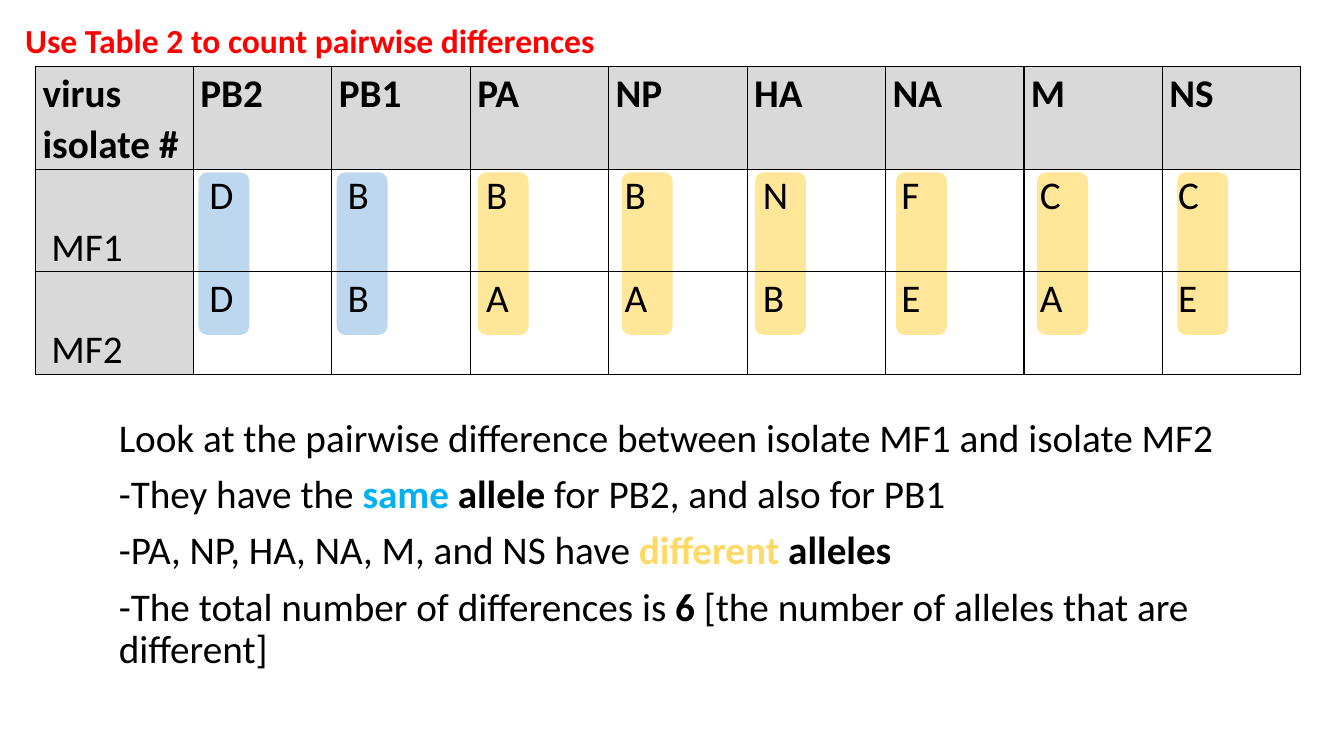
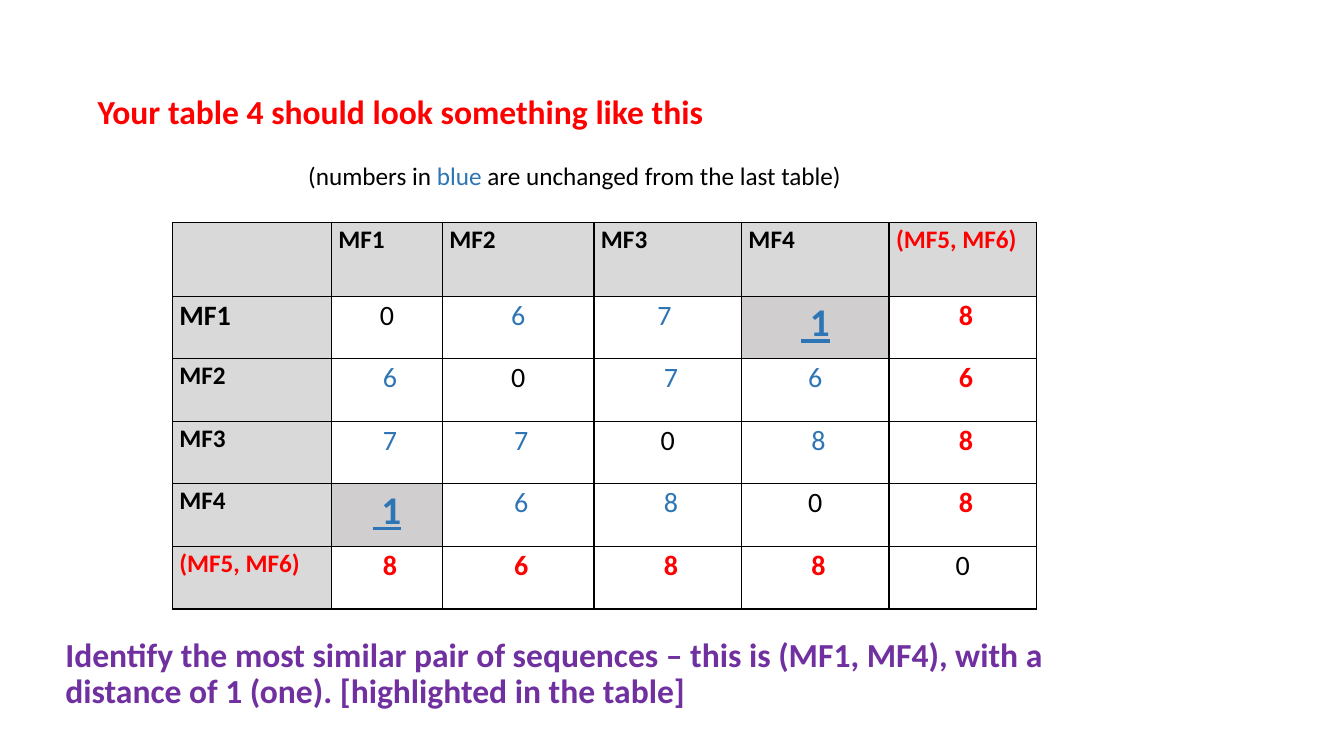
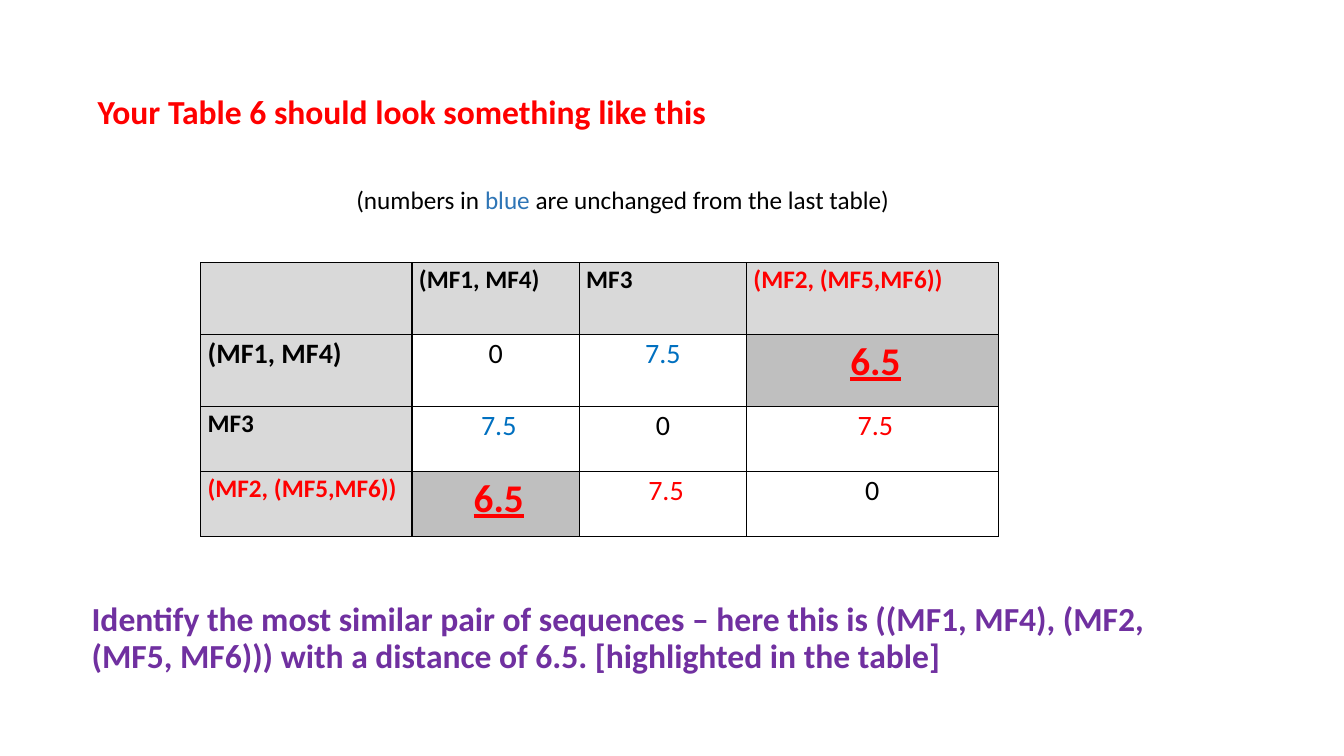
"""Build three slides on counting pairwise differences between virus isolates."""
import pptx
import pptx.dml.color
import pptx.enum.shapes
import pptx.enum.text
import pptx.oxml.ns
import pptx.util
from lxml import etree

Pt = pptx.util.Pt
ALIGN = pptx.enum.text.PP_ALIGN
ANCHOR = pptx.enum.text.MSO_ANCHOR

COLOURS = {
    "black": "000000", "red": "FF0000", "purple": "7030A0",
    "blue": "2E75B6", "deep blue": "0070C0", "sky": "00B0F0", "gold": "FFD966",
    "same bar": "BDD7EE", "different bar": "FFE699",
    "head": "D9D9D9", "closest 4": "D0CECE", "closest 6": "BFBFBF",
}

FONTS = {
    "title": {"size": Pt(24), "bold": True, "color": "red"},
    "task": {"size": Pt(24), "bold": True, "color": "purple"},
    "note": {"size": Pt(18)},
    "note blue": {"size": Pt(18), "color": "blue"},
    "body": {"size": Pt(28)},
    "strong": {"size": Pt(28), "bold": True},
    "same": {"size": Pt(28), "bold": True, "color": "sky"},
    "different": {"size": Pt(28), "bold": True, "color": "gold"},
}

HEAD = {"fill": "head", "font": {"size": Pt(18), "bold": True}}
NUMBER = {"align": ALIGN.CENTER, "font": {"size": Pt(20), "bold": False}}
NUDGED = {"margin_left": Pt(9.5)}
CLOSEST = {"size": Pt(28), "bold": True, "underline": True}


def variant(base, frame=None, fill=None, **font):
    """Return a cell style that changes some values of another."""
    return {**base, "frame": frame or {}, "fill": fill or base.get("fill"),
            "font": {**base["font"], **font}}


CELLS = {
    "head": HEAD,
    "head 20": variant(HEAD, size=Pt(20)),
    "head new": variant(HEAD, color="red"),
    "gene": variant(HEAD, size=Pt(28)),
    "isolate": variant(HEAD, {"margin_left": Pt(11.3), "vertical_anchor": ANCHOR.BOTTOM},
                       size=Pt(28), bold=False),
    "allele": {"frame": {"margin_left": Pt(11.3)}, "font": {"size": Pt(28), "bold": False}},
    "zero": NUMBER,
    "old": variant(NUMBER, NUDGED, color="blue"),
    "old centred": variant(NUMBER, color="blue"),
    "old left": variant(NUMBER, {"margin_right": Pt(9.5)}, color="blue"),
    "new": variant(NUMBER, NUDGED, color="red", bold=True),
    "closest 4": variant(NUMBER, fill="closest 4", color="blue", **CLOSEST),
    "old 6": variant(NUMBER, NUDGED, color="deep blue"),
    "old 6 centred": variant(NUMBER, color="deep blue"),
    "new 6": variant(NUMBER, NUDGED, color="red"),
    "closest 6": variant(NUMBER, NUDGED, fill="closest 6", color="red", **CLOSEST),
}


def rgb(name):
    """Return the named colour."""
    return pptx.dml.color.RGBColor.from_string(COLOURS[name])


class Deck:
    """Holds the shared style and the slide being built."""

    def __init__(self):
        """Start an empty wide presentation."""
        self.file = pptx.Presentation()
        self.file.slide_width, self.file.slide_height = Pt(960), Pt(540)
        self.slide = None

    def format_font(self, font, color="black", **values):
        """Apply a dict of format values to a font."""
        font.color.rgb = rgb(color)
        for key, value in {"name": "Calibri", **values}.items():
            setattr(font, key, value)

    def fill_frame(self, frame, paragraphs, spacing=0.9):
        """Write paragraphs of (text, font) runs into a text frame."""
        frame.word_wrap = True
        frame.auto_size = pptx.enum.text.MSO_AUTO_SIZE.NONE
        frame.vertical_anchor = ANCHOR.TOP
        for index, runs in enumerate(paragraphs):
            paragraph = frame.add_paragraph() if index else frame.paragraphs[0]
            paragraph.alignment = ALIGN.LEFT
            paragraph.line_spacing = spacing
            paragraph.space_before = Pt(10 if index else 0)
            for text, style in runs:
                run = paragraph.add_run()
                run.text = text
                self.format_font(run.font, **FONTS[style])

    def title(self, text, left, top, width):
        """Add a slide and set its title."""
        self.slide = self.file.slides.add_slide(self.file.slide_layouts[5])
        heading = self.slide.shapes.title
        heading.left, heading.top, heading.width, heading.height = map(
            Pt, (left, top, width, 33))
        self.fill_frame(heading.text_frame, [[(text, "title")]])

    def text(self, paragraphs, left, top, width, height, spacing=0.9):
        """Add a text box."""
        box = self.slide.shapes.add_textbox(*map(Pt, (left, top, width, height)))
        self.fill_frame(box.text_frame, paragraphs, spacing)

    def unchanged_note(self, left, top):
        """Add the note that explains the blue numbers."""
        self.text([[("(numbers in ", "note"), ("blue", "note blue"),
                    (" are unchanged from the last table)", "note")]],
                  left, top, 410, 29, 1.0)

    def bar(self, left, colour):
        """Add a rounded highlight behind a pair of alleles."""
        bar = self.slide.shapes.add_shape(
            pptx.enum.shapes.MSO_SHAPE.ROUNDED_RECTANGLE,
            Pt(left), Pt(123.2), Pt(36.3), Pt(116))
        bar.shadow.inherit = False
        bar.fill.solid()
        bar.fill.fore_color.rgb = rgb(colour)
        bar.line.fill.background()

    def border(self, cell):
        """Draw thin black lines around a cell."""
        properties = cell._tc.get_or_add_tcPr()
        qn = pptx.oxml.ns.qn
        for side in ("a:lnL", "a:lnR", "a:lnT", "a:lnB"):
            line = etree.SubElement(properties, qn(side), w=str(Pt(1)))
            solid = etree.SubElement(line, qn("a:solidFill"))
            etree.SubElement(solid, qn("a:srgbClr"), val=COLOURS["black"])

    def cell(self, cell, style_name, text):
        """Fill and format one table cell."""
        style = CELLS[style_name]
        self.border(cell)
        frame = {"margin_left": Pt(5), "margin_right": Pt(5), "margin_top": 0,
                 "margin_bottom": 0, **style.get("frame", {})}
        for key, value in frame.items():
            setattr(cell, key, value)
        if style.get("fill"):
            cell.fill.solid()
            cell.fill.fore_color.rgb = rgb(style["fill"])
        else:
            cell.fill.background()
        paragraph = cell.text_frame.paragraphs[0]
        paragraph.alignment = style.get("align", ALIGN.LEFT)
        paragraph.line_spacing = 1.07
        if text:
            run = paragraph.add_run()
            run.text = text
            self.format_font(run.font, **style["font"])

    def table(self, left, top, widths, heights, rows):
        """Add a table from rows of (style, text) cells."""
        grid = self.slide.shapes.add_table(
            len(heights), len(widths), Pt(left), Pt(top),
            Pt(sum(widths)), Pt(sum(heights))).table
        grid.first_row = grid.horz_banding = False
        for column, width in zip(grid.columns, widths):
            column.width = Pt(width)
        for row, height, entries in zip(grid.rows, heights, rows):
            row.height = Pt(height)
            for cell, entry in zip(row.cells, entries):
                self.cell(cell, *entry)


def counting_slide(deck):
    """Show how two isolates are compared."""
    deck.title("Use Table 2 to count pairwise differences", 10.8, 13.7, 940)
    bar_lefts = (141.8, 240.5, 341.3, 444.2, 539.3, 640.1, 740.9, 841)
    for index, left in enumerate(bar_lefts):
        deck.bar(left, "same bar" if index < 2 else "different bar")
    genes = ("virus isolate #", "PB2", "PB1", "PA", "NP", "HA", "NA", "M", "NS")
    rows = [[("gene", gene) for gene in genes]]
    for isolate, alleles in (("MF1", "DBBBNFCC"), ("MF2", "DBAABEAE")):
        rows.append([("isolate", isolate)] + [("allele", letter) for letter in alleles])
    deck.table(25.4, 47.7, [112.8] + [98.9] * 8, [73.2] * 3, rows)
    deck.text([
        [("Look at the pairwise difference between isolate MF1 and isolate MF2", "body")],
        [("-They have the ", "body"), ("same", "same"), (" allele", "strong"),
         (" for PB2, and also for PB1", "body")],
        [("-PA, NP, HA, NA, M, and NS have ", "body"), ("different", "different"),
         (" alleles", "strong")],
        [("-The total number of differences is ", "body"), ("6", "strong"),
         (" [the number of alleles that are different]", "body")],
    ], 77.8, 295.2, 828, 203)


def table_4_slide(deck):
    """Show the distances after the first merge."""
    deck.title("Your table 4 should look something like this", 62.6, 64.8, 585)
    deck.unchanged_note(213.1, 110.9)
    merged = ("head new", "(MF5, MF6)")
    zero = ("zero", "0")
    deck.table(123.1, 159, [113.6, 79.3, 108.3] + [105.4] * 3, [52.6] + [44.7] * 5, [
        [("head", "")] + [("head", f"MF{number}") for number in range(1, 5)] + [merged],
        [("head 20", "MF1"), zero, ("old centred", "6"), ("old left", "7"),
         ("closest 4", " 1"), ("new", "8")],
        [("head", "MF2"), ("old", "6"), zero, ("old", "7"), ("old centred", "6"),
         ("new", "6")],
        [("head", "MF3"), ("old", "7"), ("old", "7"), zero, ("old", "8"), ("new", "8")],
        [("head", "MF4"), ("closest 4", " 1"), ("old", "6"), ("old", "8"), zero,
         ("new", "8")],
        [merged] + [("new", distance) for distance in "8688"] + [zero],
    ])
    deck.text([[("Identify the most similar pair of sequences – this is (MF1, MF4), "
                 "with a distance of 1 (one). [highlighted in the table]", "task")]],
              39.6, 452.2, 798.5, 60)


def table_6_slide(deck):
    """Show the distances after the later merges."""
    deck.title("Your Table 6 should look something like this", 62.6, 64.8, 585)
    deck.unchanged_note(247.5, 128.2)
    merged = ("head new", "(MF2, (MF5,MF6))")
    zero = ("zero", "0")
    deck.table(143.3, 187.6, [151, 119.5, 119.5, 179.8], [51.4] * 2 + [46.4] * 2, [
        [("head", ""), ("head", "(MF1, MF4)"), ("head", "MF3"), merged],
        [("head 20", "(MF1, MF4)"), zero, ("old 6 centred", "7.5"), ("closest 6", "6.5")],
        [("head", "MF3"), ("old 6", "7.5"), zero, ("new 6", "7.5")],
        [merged, ("closest 6", "6.5"), ("new 6", "7.5"), zero],
    ])
    deck.text([[("Identify the most similar pair of sequences – here this is "
                 "((MF1, MF4), (MF2, (MF5, MF6))) with a distance of 6.5. "
                 "[highlighted in the table]", "task")]],
              58.3, 427, 798.5, 60)


def main():
    """Build and save the presentation."""
    deck = Deck()
    for build in (counting_slide, table_4_slide, table_6_slide):
        build(deck)
    deck.file.save("out.pptx")


if __name__ == "__main__":
    main()
